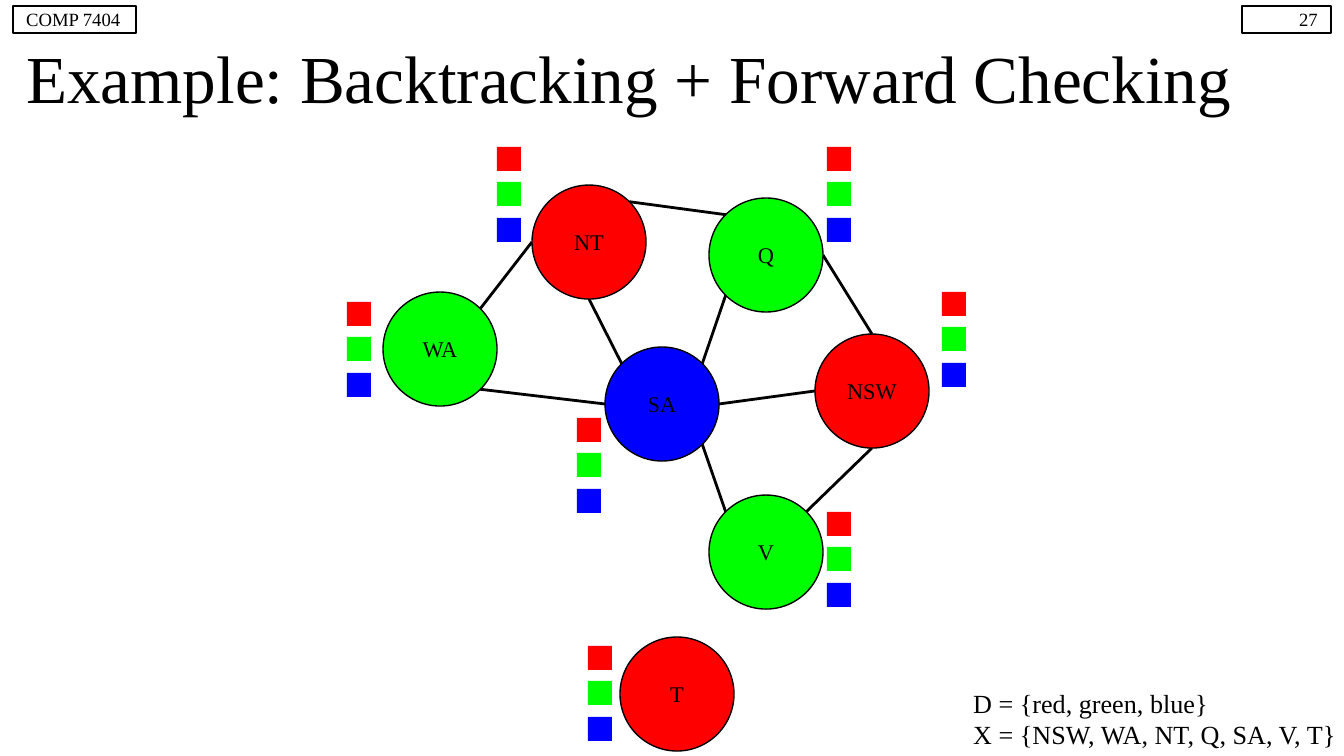
import math

import pptx
import pptx.dml.color
import pptx.enum.shapes
import pptx.enum.text
import pptx.oxml
import pptx.util

PX = 6804  # EMU per pixel
FONT = "Times New Roman"
BLACK, RED, GREEN, BLUE = "000000", "FF0000", "00FF00", "0000FF"
DIAMETER = 114
SWATCH = 24
SHAPE = pptx.enum.shapes.MSO_SHAPE
ALIGN = pptx.enum.text.PP_ALIGN

# name: (circle left, top, colour, swatches left, top)
REGIONS = {
    "WA": (383, 292, GREEN, 347, 302),
    "NT": (532, 185, RED, 497, 147),
    "Q": (709, 198, GREEN, 827, 147),
    "SA": (605, 347, BLUE, 577, 418),
    "NSW": (815, 334, RED, 942, 292),
    "V": (709, 495, GREEN, 827, 512),
    "T": (620, 637, RED, 588, 646),
}
# Each end is a region and the angle on its circle, clockwise from the right.
BORDERS = [
    ("WA", 45, "SA", 180),
    ("WA", 315, "NT", 180),
    ("NT", 315, "Q", 225),
    ("Q", 0, "NSW", 270),
    ("NSW", 90, "V", 315),
    ("SA", 45, "V", 225),
    ("NT", 90, "SA", 225),
    ("SA", 315, "Q", 135),
    ("SA", 0, "NSW", 180),
]


def emu(*lengths):
    return [pptx.util.Emu(round(length * PX)) for length in lengths]


def colour(value):
    return pptx.dml.color.RGBColor.from_string(value)


def write(box, lines, size, align=ALIGN.LEFT):
    frame = box.text_frame
    inset = pptx.util.Inches(0.1)
    settings = {
        "word_wrap": True,
        "vertical_anchor": pptx.enum.text.MSO_ANCHOR.MIDDLE,
        "margin_left": inset,
        "margin_top": inset,
        "margin_right": inset,
        "margin_bottom": inset,
    }
    for name, value in settings.items():
        setattr(frame, name, value)
    for index, line in enumerate(lines):
        para = frame.add_paragraph() if index else frame.paragraphs[0]
        para.alignment = align
        span = para.add_run()
        span.text = line
        for name, value in {"name": FONT, "size": pptx.util.Pt(size)}.items():
            setattr(span.font, name, value)
        span.font.color.rgb = colour(BLACK)


def add_text(page, place, lines, size):
    write(page.shapes.add_textbox(*emu(*place)), lines, size)


def add_shape(page, kind, place, fill=None, outlined=True):
    shape = page.shapes.add_shape(kind, *emu(*place))
    shape.shadow.inherit = False
    if fill:
        shape.fill.solid()
        shape.fill.fore_color.rgb = colour(fill)
    else:
        shape.fill.background()
    if outlined:
        shape.line.color.rgb = colour(BLACK)
        shape.line.width = pptx.util.Pt(0.75)
    else:
        shape.line.fill.background()
    return shape


def add_label(page, place, text, align):
    write(add_shape(page, SHAPE.RECTANGLE, place), [text], 10, align)


def rim_point(region, angle):
    left, top = REGIONS[region][:2]
    radius, turn = DIAMETER / 2, math.radians(angle)
    return (left + radius * (1 + math.cos(turn)),
            top + radius * (1 + math.sin(turn)))


def add_border(page, start, start_angle, end, end_angle):
    points = rim_point(start, start_angle) + rim_point(end, end_angle)
    line = page.shapes.add_connector(
        pptx.enum.shapes.MSO_CONNECTOR.STRAIGHT, *emu(*points))
    line.line.color.rgb = colour(BLACK)
    line.line.width = pptx.util.Pt(1.5)
    properties = line._element.spPr
    properties.append(pptx.oxml.parse_xml(
        '<a:effectLst xmlns:a='
        '"http://schemas.openxmlformats.org/drawingml/2006/main"/>'))


def add_domain(page, left, top):
    """Stack the three possible colours of a region."""
    for index, fill in enumerate((RED, GREEN, BLUE)):
        place = (left, top + index * 71 // 2, SWATCH, SWATCH)
        add_shape(page, SHAPE.RECTANGLE, place, fill, outlined=False)


def add_region(page, name, left, top, fill):
    circle = add_shape(page, SHAPE.OVAL, (left, top, DIAMETER, DIAMETER), fill)
    write(circle, [name], 12, ALIGN.CENTER)


def main():
    deck = pptx.Presentation()
    deck.slide_width, deck.slide_height = emu(1344, 756)
    page = deck.slides.add_slide(deck.slide_layouts[6])
    add_text(page, (13, 38, 1317, 77),
             ["Example: Backtracking + Forward Checking"], 36)
    add_label(page, (1242, 6, 89, 27), "27", ALIGN.RIGHT)
    add_label(page, (13, 6, 123, 27), "COMP 7404", ALIGN.LEFT)
    for border in BORDERS:
        add_border(page, *border)
    add_text(page, (960, 680, 418, 77),
             ["D = {red, green, blue}", "X = {NSW, WA, NT, Q, SA, V, T}"], 14)
    for name, (left, top, fill, swatch_left, swatch_top) in REGIONS.items():
        add_domain(page, swatch_left, swatch_top)
        add_region(page, name, left, top, fill)
    deck.save("out.pptx")


if __name__ == "__main__":
    main()
